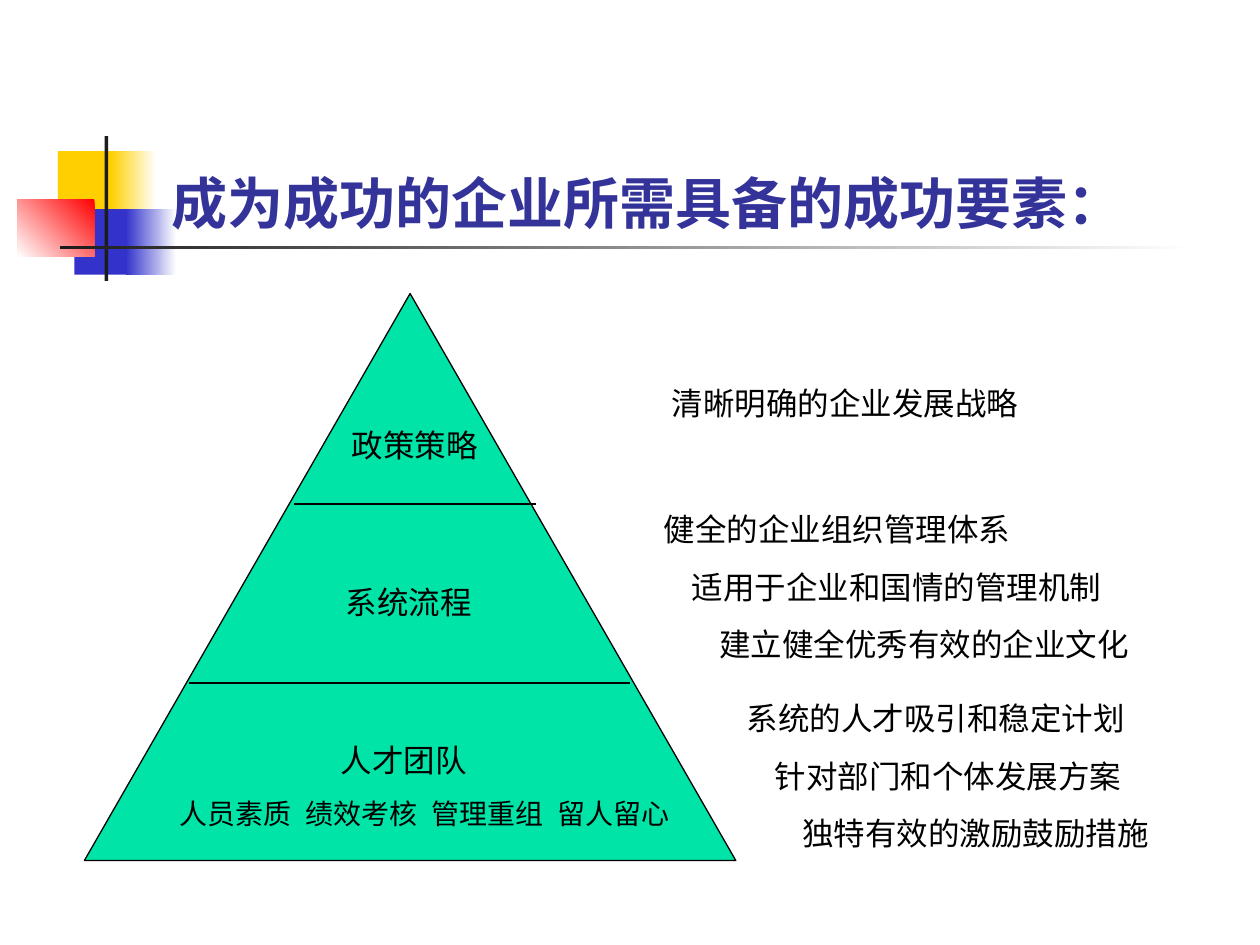
import pptx
import pptx.dml.color
import pptx.enum.shapes
import pptx.enum.text
import pptx.oxml.xmlchemy
import pptx.util
from pptx.util import Inches

FONT = "Karla"
BLACK = "000000"
STEP = 0.22
ALIGN = pptx.enum.text.PP_ALIGN
ANCHOR = pptx.enum.text.MSO_ANCHOR
SHAPE = pptx.enum.shapes.MSO_SHAPE


def rgb(color):
    """Turn a hex string into a colour."""
    return pptx.dml.color.RGBColor.from_string(color)


def add_block(shapes, box, fill, fade=None, angle=180, kind=SHAPE.RECTANGLE, line=None):
    """Add a preset shape, plain or fading from one colour to another."""
    block = shapes.add_shape(kind, *map(Inches, box))
    block.shadow.inherit = False
    if fade:
        block.fill.gradient()
        block.fill.gradient_angle = angle
        for stop, color in zip(block.fill.gradient_stops, (fill, fade)):
            stop.color.rgb = rgb(color)
    else:
        block.fill.solid()
        block.fill.fore_color.rgb = rgb(fill)
    if line:
        block.line.color.rgb = rgb(line)
        block.line.width = pptx.util.Pt(0.75)
    else:
        block.line.fill.background()


def add_divider(shapes, left, right, y):
    """Add a thin horizontal line between two layers."""
    divider = shapes.add_connector(
        pptx.enum.shapes.MSO_CONNECTOR.STRAIGHT,
        Inches(left), Inches(y), Inches(right), Inches(y))
    divider.line.color.rgb = rgb(BLACK)
    divider.line.width = pptx.util.Pt(0.75)
    divider._element.spPr.append(pptx.oxml.xmlchemy.OxmlElement("a:effectLst"))


def set_layout(paragraph, indent, tabs):
    """Set the left indent and the tab stops of a paragraph."""
    properties = paragraph._p.get_or_add_pPr()
    properties.set("marL", str(Inches(indent)))
    properties.set("indent", "0")
    if tabs:
        stops = pptx.oxml.xmlchemy.OxmlElement("a:tabLst")
        for position in tabs:
            stop = pptx.oxml.xmlchemy.OxmlElement("a:tab")
            stop.set("pos", str(Inches(position)))
            stop.set("algn", "l")
            stops.append(stop)
        properties.append(stops)


def add_paragraph(frame, text, size=18, color=BLACK, bold=False, align=ALIGN.LEFT,
                  before=11.2, indent=0, tabs=()):
    """Write one formatted paragraph, filling the empty first one if there is one."""
    first = not frame.paragraphs[0].runs
    paragraph = frame.paragraphs[0] if first else frame.add_paragraph()
    set_layout(paragraph, indent, tabs)
    paragraph.alignment = align
    if not first:
        paragraph.space_before = pptx.util.Pt(before)
    run = paragraph.add_run()
    run.text = text
    run.font.name = FONT
    run.font.size = pptx.util.Pt(size)
    run.font.bold = bold
    run.font.color.rgb = rgb(color)


def add_frame(shapes, box, anchor=ANCHOR.TOP, grow=True):
    """Add a wrapping text box and return its text frame."""
    frame = shapes.add_textbox(*map(Inches, box)).text_frame
    frame.word_wrap = True
    frame.vertical_anchor = anchor
    sizing = pptx.enum.text.MSO_AUTO_SIZE
    frame.auto_size = sizing.SHAPE_TO_FIT_TEXT if grow else sizing.NONE
    return frame


def add_steps(shapes, box, lines):
    """Add lines that each start one step further right."""
    frame = add_frame(shapes, box)
    for level, text in enumerate(lines):
        add_paragraph(frame, text, indent=level * STEP)


def add_ornament(shapes):
    """Add the coloured squares and crossing bars beside the title."""
    add_block(shapes, (0.46, 1.2, 0.48, 0.52), "FFCF01")
    add_block(shapes, (0.88, 1.2, 0.36, 0.52), "FFFFFF", "FFCF01")
    add_block(shapes, (0.59, 1.66, 0.46, 0.52), "3333CC")
    add_block(shapes, (1, 1.66, 0.4, 0.52), "FFFFFF", "3333CC")
    add_block(shapes, (0.14, 1.58, 0.61, 0.46), "FF0000", "FFFFFF", angle=225)
    add_block(shapes, (0.83, 1.08, 0.03, 1.15), "1C1C1C")
    add_block(shapes, (0.48, 1.95, 9, 0.03), "FFFFFF", "1C1C1C")


def add_pyramid(shapes):
    """Add the three-layer pyramid as one group."""
    pyramid = shapes.add_group_shape().shapes
    add_block(pyramid, (0.67, 2.33, 5.17, 4.5), "00E4A8",
              kind=SHAPE.ISOSCELES_TRIANGLE, line=BLACK)
    add_divider(pyramid, 2.33, 4.25, 4)
    add_divider(pyramid, 1.5, 5, 5.42)
    layers = [
        ("政策策略", (2.58, 3.33, 1.42, 0.4)),
        ("系统流程", (2.33, 4.58, 1.83, 0.4)),
        ("人才团队", (0.83, 5.83, 4.75, 0.81)),
    ]
    for name, box in layers:
        layer = add_frame(pyramid, box)
        add_paragraph(layer, name, align=ALIGN.CENTER)
    add_paragraph(layer, "\t人员素质\t绩效考核\t管理重组\t留人留心", size=16, before=10,
                  tabs=(0.24, 1.31, 2.36, 3.44))


def main():
    """Build the slide and save it."""
    deck = pptx.Presentation()
    deck.slide_width, deck.slide_height = Inches(10), Inches(7.5)
    shapes = deck.slides.add_slide(deck.slide_layouts[6]).shapes
    add_ornament(shapes)
    title = add_frame(shapes, (1.26, 0.67, 8.52, 1.25), anchor=ANCHOR.BOTTOM, grow=False)
    add_paragraph(title, "成为成功的企业所需具备的成功要素：", size=32, color="333399", bold=True)
    add_pyramid(shapes)
    strategy = add_frame(shapes, (5.08, 3, 3.25, 0.4))
    add_paragraph(strategy, "清晰明确的企业发展战略", align=ALIGN.CENTER)
    add_steps(shapes, (5.17, 4, 4.42, 1.32),
              ["健全的企业组织管理体系", "适用于企业和国情的管理机制", "建立健全优秀有效的企业文化"])
    add_steps(shapes, (5.83, 5.5, 3.83, 1.32),
              ["系统的人才吸引和稳定计划", "针对部门和个体发展方案", "独特有效的激励鼓励措施"])
    deck.save("out.pptx")


if __name__ == "__main__":
    main()
